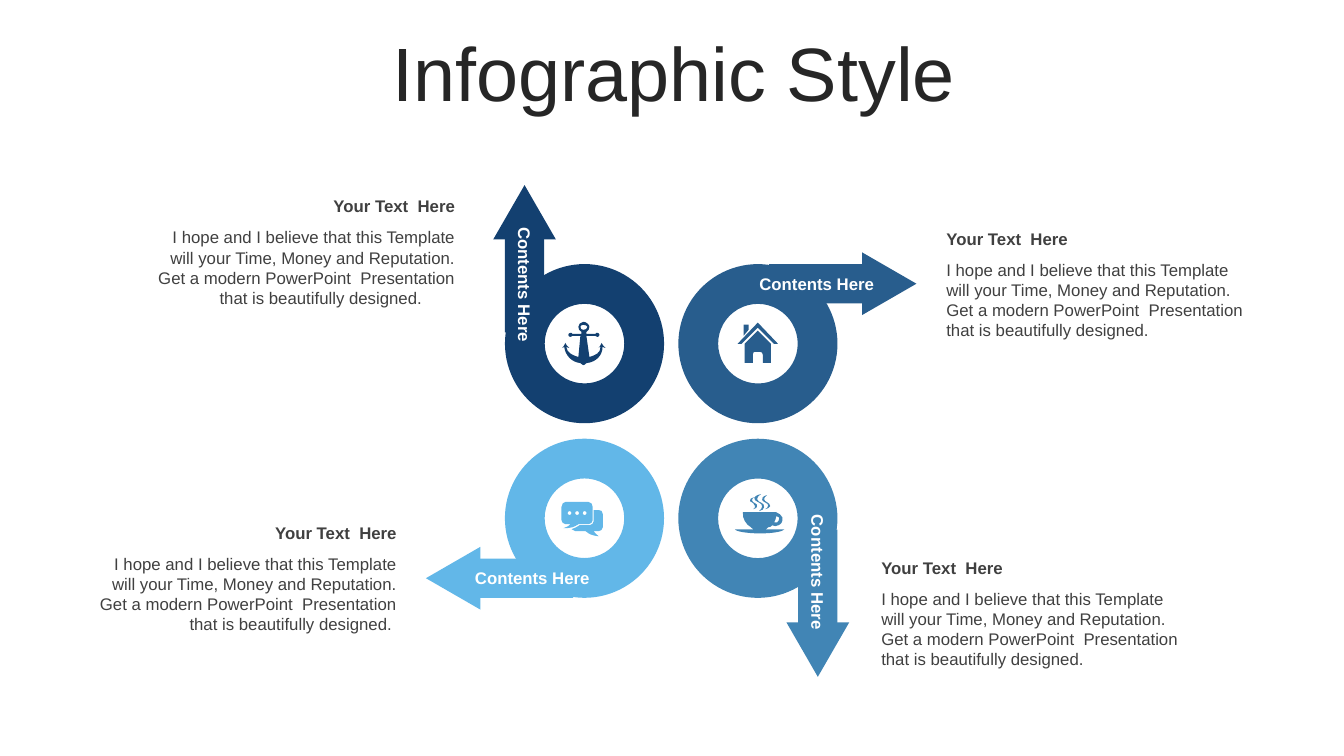
from dataclasses import dataclass
from math import cos, radians, sin

from pptx import Presentation
from pptx.dml.color import RGBColor as Rgb
from pptx.enum.shapes import MSO_SHAPE as Kind
from pptx.enum.text import MSO_ANCHOR as Anchor, MSO_AUTO_SIZE as Fit, PP_ALIGN as Align
from pptx.oxml.ns import qn
from pptx.util import Cm, Pt


@dataclass(frozen=True)
class Theme:
    font: str = "Arial"
    title: int = 54
    body: int = 12
    ink: str = "262626"
    grey: str = "404040"
    white: str = "FFFFFF"
    navy: str = "134070"
    blue: str = "285D8D"
    steel: str = "4185B5"
    sky: str = "62B7E8"


def bend(shape, sizes):
    nodes = iter(list(shape._element.iter(qn("a:lnTo"))))
    for size in sizes:
        node = next(nodes)
        if size == 3:
            node.tag = qn("a:cubicBezTo")
            for extra in (next(nodes), next(nodes)):
                node.append(extra[0])
                extra.getparent().remove(extra)


class Board:
    def __init__(self, slide, theme):
        self.theme = theme
        self.slide = slide
        self.home = slide.shapes

    def group(self):
        self.home = self.slide.shapes.add_group_shape().shapes

    def leave(self):
        self.home = self.slide.shapes

    def paint(self, shape, color):
        shape.shadow.inherit = False
        shape.fill.solid()
        shape.fill.fore_color.rgb = Rgb.from_string(color)
        shape.line.fill.background()

    def shape(self, kind, mid, size, color, turn=0):
        (x, y), (w, h) = mid, size
        item = self.home.add_shape(kind, Cm(x - w / 2), Cm(y - h / 2), Cm(w), Cm(h))
        item.rotation = turn % 360
        self.paint(item, color)

    def text(self, text, box, size=None, color=None, bold=False, align=Align.LEFT,
             anchor=Anchor.TOP, turn=0, fit=Fit.SHAPE_TO_FIT_TEXT, space=None, tail=0):
        item = self.home.add_textbox(*map(Cm, box))
        item.rotation = turn
        frame = item.text_frame
        frame.word_wrap = True
        frame.auto_size = fit
        frame.vertical_anchor = anchor
        frame.text = text
        for para in frame.paragraphs:
            para.alignment = align
            para.line_spacing = space
            font = para.font
            font.name = self.theme.font
            font.size = Pt(size or self.theme.body)
            font.bold = bold
            font.color.rgb = Rgb.from_string(color or self.theme.grey)
        if tail:
            para._p.get_or_add_pPr().set("marR", str(Cm(tail)))

    def arrow(self, mid, color, turn):
        self.group()
        self.shape(Kind.DONUT, mid, (4.01, 4.01), color, turn + 180)

        def spot(along, out=-1.51):
            c, s = cos(radians(turn)), sin(radians(turn))
            return mid[0] + along * c - out * s, mid[1] + along * s + out * c

        self.shape(Kind.RECTANGLE, spot(1.49), (2.41, 0.99), color, turn)
        self.shape(Kind.ISOSCELES_TRIANGLE, spot(3.31), (1.58, 1.37), color, turn + 90)
        self.leave()

    def note(self, left, top, width, align, body, tail=0):
        self.group()
        self.text("Your Text  Here", (left, top, width, 0.76), bold=True, align=align)
        self.text(body, (left, top + 0.78, width, 2.31), align=align, tail=tail)
        self.leave()

    def icon(self, left, top, outline, color):
        step = Cm(2.54) / 100
        pen, sizes = None, []
        for part in outline.split(";"):
            spots = []
            for i, seg in enumerate(part.split(",")):
                nums = [float(n) * step for n in seg.split()]
                pairs = list(zip(nums[::2], nums[1::2]))
                spots += [(Cm(left) + x, Cm(top) + y) for x, y in pairs]
                if i:
                    sizes.append(len(pairs))
            if pen is None:
                pen = self.home.build_freeform(*spots[0], scale=1.0)
            else:
                pen.move_to(*spots[0])
            pen.add_line_segments(spots[1:], close=True)
        item = pen.convert_to_shape()
        bend(item, sizes)
        self.paint(item, color)


def dot(x):
    return (f"{x} 9, {x - 1} 9 {x - 2} 10 {x - 2} 11, {x - 2} 12 {x - 1} 13 {x} 13, "
            f"{x + 1} 13 {x + 2} 12 {x + 2} 11, {x + 2} 10 {x + 1} 9 {x} 9")


CHAT = ";".join([dot(x) for x in (23, 15.5, 8)] + [
    "32 8, 37 8, 39 8 41 9 41 12, 41 25, 41 27 39 29 37 29, 32 29, 33 30 33 31 37 34,"
    "29 33 28 32 24 29, 14 29, 12 29 11 28 10 27, 13 26 15 25 18 23, 28 23,"
    "30 23 32 21 32 19, 32 8",
    "4 0, 27 0, 29 0 31 2 31 5, 31 18, 31 20 29 22 27 22, 17 22, 12 25 10 26 2 26,"
    "7 24 7 24 9 22, 4 22, 2 22 0 20 0 18, 0 5, 0 2 2 0 4 0"])
HOUSE = (
    "20 8, 33 21, 33 40, 25 40, 25 32, 25 30 24 29 22 29, 17 29, 16 29 15 30 15 32,"
    "15 40, 7 40, 7 21; 6 2, 11 2, 11 7, 6 13; 20 0, 40 21, 36 21, 20 5, 4 21, 0 21")
CUP = (
    "41 22, 41 24 40 26 39 28, 40 28 41 28 42 28, 43 27 44 26 44 24, 44 23 43 22 41 22;"
    "41 18, 44 19 46 21 47 23, 48 27 46 30 43 31, 41 32 39 32 37 31, 36 32 35 33 33 33,"
    "32 34 31 35 30 35, 49 35, 48 37 38 39 25 39, 12 39 1 37 0 35, 19 35,"
    "18 35 17 34 16 33, 11 30 7 24 8 18;"
    "20 3, 18 4 17 4 17 6, 17 9 23 9 22 12, 22 14 21 14 18 15, 20 14 20 13 20 12,"
    "20 9 17 9 15 7, 14 5 16 4 20 3;"
    "32 1, 30 3 29 3 29 5, 29 8 35 8 35 12, 34 14 33 14 30 15, 32 14 33 13 33 11,"
    "33 9 28 8 27 6, 26 4 28 2 32 1;"
    "26 0, 24 2 22 2 22 5, 23 9 30 8 29 13, 29 15 27 16 24 17, 26 15 27 14 27 12,"
    "27 9 22 8 20 6, 18 3 21 1 26 0")
ANCHOR = (
    "21 3, 19 3 18 4 18 5, 18 7 19 8 21 8, 23 8 25 7 25 5, 25 4 23 3 21 3;"
    "21 0, 24 0 27 3 27 5, 27 7 26 9 24 10, 24 12, 33 12, 33 11 34 11 35 11,"
    "36 11 37 12 37 13, 37 14 36 15 35 15, 34 15 33 14 33 14, 24 14, 27 35,"
    "33 33 38 31 38 25, 37 25 36 25 36 26, 37 24 39 23 39 21, 40 23 41 24 43 26,"
    "42 25 41 25 40 25, 40 33 34 40 24 41, 23 42 22 43 21 43, 20 43 20 42 18 41,"
    "9 40 3 33 2 25, 1 25 1 25 0 26, 1 24 3 23 3 21, 4 23 5 24 7 26, 6 25 5 25 4 25,"
    "5 31 10 33 16 35, 18 14, 10 14, 10 14 9 15 8 15, 7 15 6 14 6 13,"
    "6 12 7 11 8 11, 9 11 10 11 10 12, 19 12, 19 10, 17 9 16 7 16 5, 16 3 18 0 21 0")


def main():
    deck = Presentation()
    deck.slide_width, deck.slide_height = Cm(33.87), Cm(19.05)
    theme = Theme()
    board = Board(deck.slides.add_slide(deck.slide_layouts[6]), theme)

    board.text("Infographic Style", (0.9, 0.94, 32.16, 2.01), size=theme.title,
               color=theme.ink, align=Align.CENTER, anchor=Anchor.MIDDLE,
               fit=Fit.NONE, space=0.9)

    west, east, north, south = 14.73, 19.1, 8.66, 13.06
    board.arrow((west, south), theme.sky, 180)
    board.arrow((east, north), theme.blue, 0)
    board.arrow((west, north), theme.navy, 270)
    board.arrow((east, south), theme.steel, 90)

    for left, top, width, turn, align in (
            (11.36, 6.96, 3.73, 90, Align.LEFT), (18.7, 6.78, 3.58, 0, Align.RIGHT),
            (11.72, 14.17, 4.34, 0, Align.LEFT), (18.85, 13.97, 3.53, 90, Align.RIGHT)):
        board.text("Contents Here", (left, top, width, 0.76), color=theme.white,
                   bold=True, align=align, anchor=Anchor.MIDDLE, turn=turn)

    lead = ("I hope and I believe that this Template will your Time, Money and Reputation. "
            "Get a modern PowerPoint  Presentation")
    close = "that is beautifully designed."
    board.note(21.96, 13.93, 8.28, Align.LEFT, f"{lead} {close}")
    board.note(23.6, 5.64, 8.28, Align.LEFT, f"{lead} {close}")
    board.note(1.97, 13.04, 8.28, Align.RIGHT, f"{lead} {close} ")
    board.note(3.69, 4.82, 8.03, Align.RIGHT, f"{lead}\n{close}", tail=0.83)

    board.icon(14.15, 12.65, CHAT, theme.sky)
    board.icon(18.59, 8.13, HOUSE, theme.blue)
    board.icon(18.52, 12.45, CUP, theme.steel)
    board.icon(14.17, 8.11, ANCHOR, theme.navy)
    deck.save("out.pptx")


if __name__ == "__main__":
    main()
